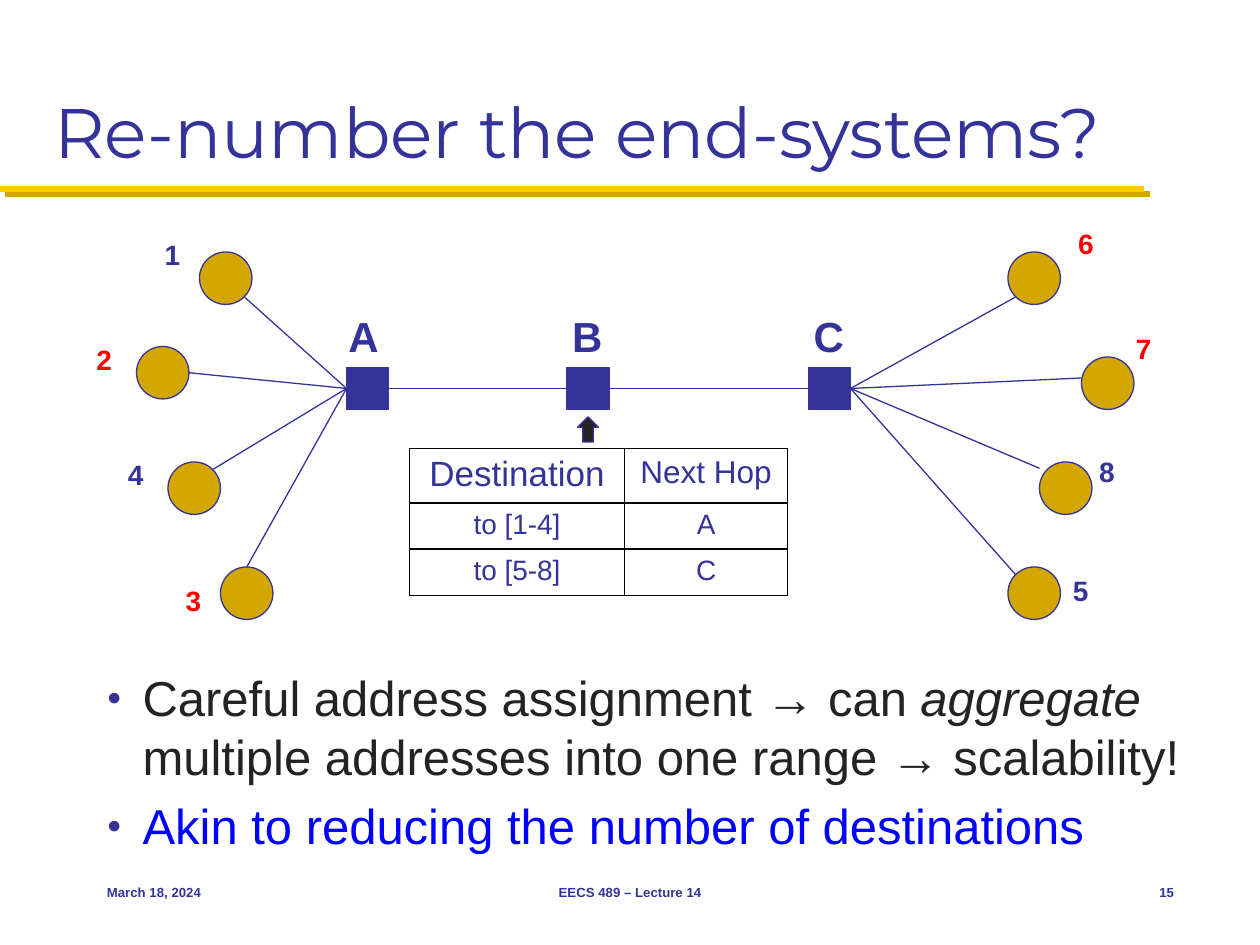
from lxml import etree
from pptx import Presentation
from pptx.dml.color import RGBColor
from pptx.enum.shapes import MSO_CONNECTOR, MSO_SHAPE
from pptx.enum.text import MSO_ANCHOR, PP_ALIGN
from pptx.oxml.ns import qn
from pptx.util import Pt

RECT, OVAL, UP_ARROW = MSO_SHAPE.RECTANGLE, MSO_SHAPE.OVAL, MSO_SHAPE.UP_ARROW
STRAIGHT = MSO_CONNECTOR.STRAIGHT
TOP, MIDDLE, BOTTOM = MSO_ANCHOR.TOP, MSO_ANCHOR.MIDDLE, MSO_ANCHOR.BOTTOM
LEFT, CENTER, RIGHT = PP_ALIGN.LEFT, PP_ALIGN.CENTER, PP_ALIGN.RIGHT

NAVY = RGBColor(0x33, 0x33, 0x99)
GOLD = RGBColor(0xD3, 0xA6, 0x00)
MAIZE = RGBColor(0xFF, 0xCB, 0x05)
INK = RGBColor(0x23, 0x23, 0x23)
BLUE = RGBColor(0x00, 0x00, 0xFF)
RED = RGBColor(0xFF, 0x00, 0x00)

PX = 914400 // 120
HOST = 50
ROUTER = 40
LEFT_SIDE, RIGHT_SIDE = 1, 3

ROUTERS = [("A", 330, 320), ("B", 540, 533), ("C", 770, 763)]
HOSTS = [
    ("1", (190, 240), (43, 43), (145, 220), NAVY, "A"),
    ("2", (130, 330), (50, 25), (80, 320), RED, "A"),
    ("3", (210, 540), (25, 0), (165, 550), RED, "A"),
    ("4", (160, 440), (43, 7), (110, 430), NAVY, "A"),
    ("5", (960, 540), (7, 7), (1010, 540), NAVY, "C"),
    ("6", (960, 240), (7, 43), (1015, 210), RED, "C"),
    ("7", (1030, 340), (0, 20), (1070, 310), RED, "C"),
    ("8", (990, 440), (0, 6), (1035, 427), NAVY, "C"),
]
ROUTES = [("Destination", "Next Hop"), ("to [1-4]", "A"), ("to [5-8]", "C")]
ROUTE_SIZES = [(20, 18), (16, 16), (16, 16)]
BULLETS = [
    [("Careful address assignment → can ", INK, False),
     ("aggregate", INK, True),
     (" multiple addresses into one range → scalability!", INK, False)],
    [("Akin to reducing the number of destinations", BLUE, False)],
]
FOOTERS = [
    ("March 18, 2024", 90, 250, LEFT),
    ("EECS 489 – Lecture 14", 410, 380, CENTER),
    ("15", 1050, 80, RIGHT),
]


def child(parent, tag, **attrs):
    return etree.SubElement(parent, qn(tag), attrs)


class Deck:
    """Slide style and the slide being drawn on."""

    def __init__(self, prs):
        self.font = "Arial"
        self.color = NAVY
        self.s = prs.slides.add_slide(prs.slide_layouts[6])

    def style(self, font, size, color=None, bold=False, italic=False, name=None):
        font.name = name or self.font
        font.size = Pt(size)
        font.bold, font.italic = bold, italic
        font.color.rgb = color or self.color

    def box(self, x, y, w, h, anchor=TOP):
        sp = self.s.shapes.add_textbox(x * PX, y * PX, w * PX, h * PX)
        tf = sp.text_frame
        tf.word_wrap = True
        tf.vertical_anchor = anchor
        return tf

    def text(self, text, x, y, w, h, size, anchor=TOP, align=LEFT, **look):
        tf = self.box(x, y, w, h, anchor)
        tf.text = text
        p = tf.paragraphs[0]
        p.alignment = align
        self.style(p.runs[0].font, size, **look)

    def bullets(self, items, x, y, w, h, size):
        tf = self.box(x, y, w, h)
        for i, runs in enumerate(items):
            p = tf.add_paragraph() if i else tf.paragraphs[0]
            if i:
                p.space_before = Pt(6)
            pPr = p._p.get_or_add_pPr()
            pPr.set("marL", str(34 * PX))
            pPr.set("indent", str(-34 * PX))
            child(child(pPr, "a:buClr"), "a:srgbClr", val=str(self.color))
            child(pPr, "a:buSzPct", val="50000")
            child(pPr, "a:buFont", typeface=self.font)
            child(pPr, "a:buChar", char="●")
            for text, color, italic in runs:
                r = p.add_run()
                r.text = text
                self.style(r.font, size, color, italic=italic)

    def shape(self, kind, x, y, w, h, fill):
        sp = self.s.shapes.add_shape(kind, x * PX, y * PX, w * PX, h * PX)
        sp.shadow.inherit = False
        sp.fill.solid()
        sp.fill.fore_color.rgb = fill
        sp.line.color.rgb = self.color
        sp.line.width = Pt(0.75)
        return sp

    def line(self, x1, y1, x2, y2, color=None, width=0.75, shadow=None):
        c = self.s.shapes.add_connector(STRAIGHT, x1 * PX, y1 * PX, x2 * PX, y2 * PX)
        c.line.color.rgb = color or self.color
        c.line.width = Pt(width)
        effects = child(c._element.spPr, "a:effectLst")
        if shadow:
            outer = child(effects, "a:outerShdw", dist=str(Pt(4.2)), dir="2700000",
                          algn="ctr", rotWithShape="0")
            child(outer, "a:srgbClr", val=str(shadow))
        return c

    def table(self, rows, sizes, x, y, widths, heights):
        frame = self.s.shapes.add_table(len(rows), len(widths), x * PX, y * PX,
                                        sum(widths) * PX, sum(heights) * PX)
        tbl = frame.table
        for col, w in zip(tbl.columns, widths):
            col.width = w * PX
        for i, row in enumerate(rows):
            tbl.rows[i].height = heights[i] * PX
            for j, text in enumerate(row):
                self.cell(tbl.cell(i, j), text, sizes[i][j])

    def cell(self, cell, text, size):
        cell.text_frame.text = text
        p = cell.text_frame.paragraphs[0]
        p.alignment = CENTER
        self.style(p.runs[0].font, size)
        tcPr = cell._tc.get_or_add_tcPr()
        for side in ("a:lnL", "a:lnR", "a:lnT", "a:lnB"):
            ln = child(tcPr, side, w=str(Pt(1)))
            child(child(ln, "a:solidFill"), "a:srgbClr", val="000000")
        cell.fill.background()


def main():
    prs = Presentation()
    prs.slide_width, prs.slide_height = 1200 * PX, 900 * PX
    deck = Deck(prs)

    deck.line(0, 180, 1090, 180, MAIZE, 3.5, shadow=GOLD)
    deck.text("Re-number the end-systems?", 40, 20, 1120, 150, 40, BOTTOM,
              name="Montserrat")
    deck.bullets(BULLETS, 90, 630, 1050, 188, 28)
    deck.table(ROUTES, ROUTE_SIZES, 390, 427, [205, 155], [49, 41, 41])

    routers = {}
    for name, x, label_x in ROUTERS:
        routers[name] = deck.shape(RECT, x, 350, ROUTER, ROUTER, NAVY)
        deck.text(name, label_x, 290, 52, 60, 24, bold=True)
    for near, far in ("AB", "BC"):
        link = deck.line(0, 0, 0, 0)
        link.begin_connect(routers[near], RIGHT_SIDE)
        link.end_connect(routers[far], LEFT_SIDE)

    for name, (x, y), (dx, dy), (label_x, label_y), color, router in HOSTS:
        deck.shape(OVAL, x, y, HOST, HOST, GOLD)
        link = deck.line(x + dx, y + dy, 0, 0)
        link.end_connect(routers[router], LEFT_SIDE if router == "A" else RIGHT_SIDE)
        deck.text(name, label_x, label_y, 44, 44, 16, color=color, bold=True)

    for text, x, w, align in FOOTERS:
        deck.text(text, x, 820, w, 60, 7.5, MIDDLE, align, bold=True)
    deck.shape(UP_ARROW, 550, 397, 20, 24, INK)
    prs.save("out.pptx")


if __name__ == "__main__":
    main()
